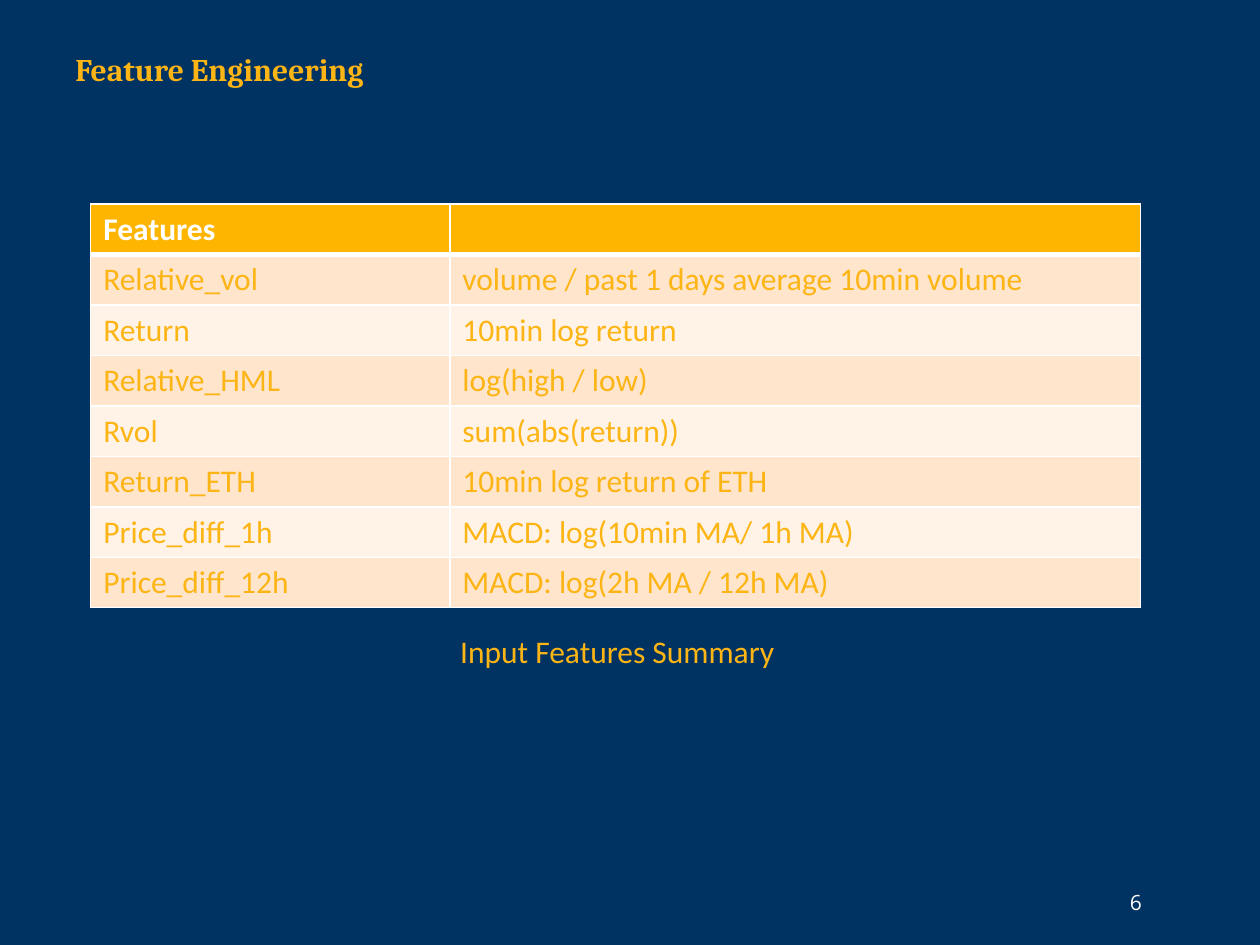
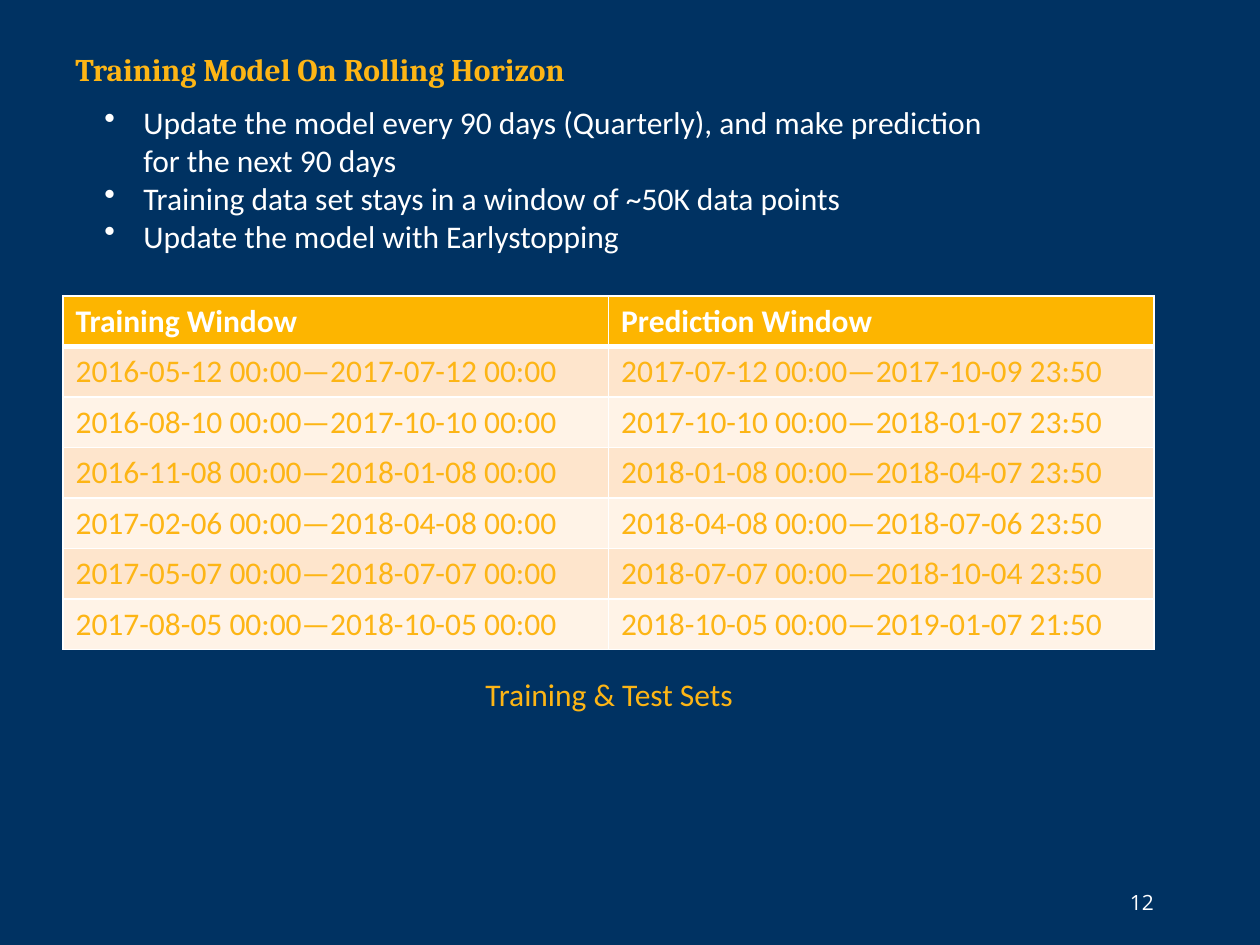
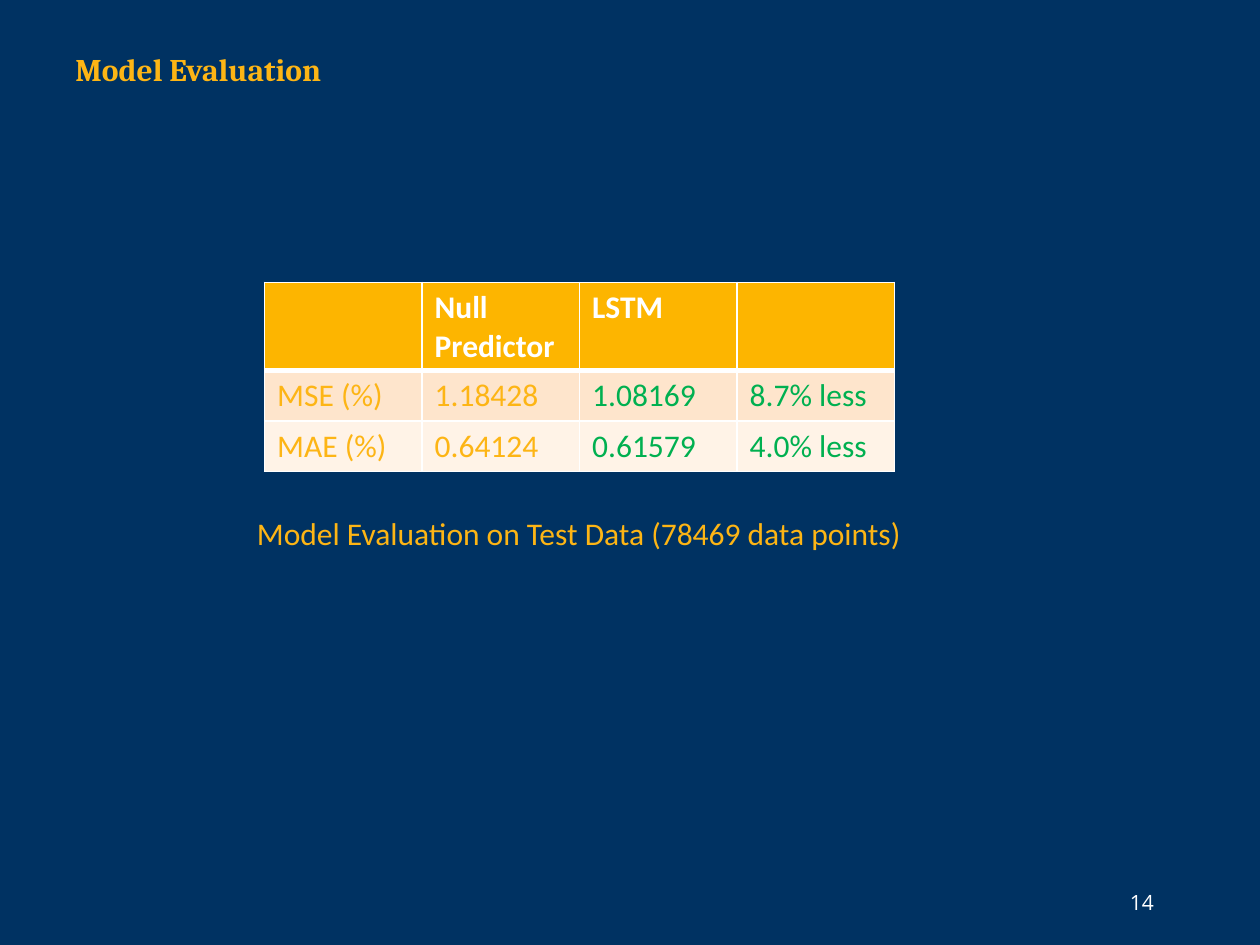
from dataclasses import dataclass

from lxml import etree
from pptx import Presentation, util as u
from pptx.dml.color import RGBColor
from pptx.enum import text
from pptx.oxml.ns import qn


@dataclass(frozen=True)
class Theme:
    background: str = "003262"
    gold: str = "FDB515"
    white: str = "FFFFFF"
    green: str = "00B050"
    header: str = "FDB500"
    bands: tuple = ("FEE5CC", "FFF3E7")
    title_font: str = "Cambria"
    body_font: str = "Calibri"
    number_font: str = "Open Sans"
    body_size: int = 18
    number_size: int = 12


theme = Theme()


def add_text(slide, box, lines, color, font=theme.body_font, size=theme.body_size, bold=False):
    """Add a text box with one paragraph a line and return its text frame."""
    frame = slide.shapes.add_textbox(*map(u.Inches, box)).text_frame
    frame.word_wrap = True
    frame.text = "\n".join(lines)
    for paragraph in frame.paragraphs:
        paragraph.font.name = font
        paragraph.font.size = u.Pt(size)
        paragraph.font.bold = bold
        paragraph.font.color.rgb = RGBColor.from_string(color)
    return frame


def set_borders(cell, **widths):
    """Draw white borders; widths are in points, keyed by side: L, R, T, B."""
    properties = cell._tc.get_or_add_tcPr()
    for position, (side, width) in enumerate(widths.items()):
        line = etree.Element(qn(f"a:ln{side}"), w=str(u.Pt(width)))
        fill = etree.SubElement(line, qn("a:solidFill"))
        etree.SubElement(fill, qn("a:srgbClr"), val=theme.white)
        properties.insert(position, line)


pages = [
    {
        "number": 6,
        "title": "Feature Engineering",
        "bullets": [],
        "table_at": (0.72, 1.62),
        "columns": [2.85, 5.48],
        "header_height": 0.4,
        "rows": [
            ("Features", ""),
            ("Relative_vol", "volume / past 1 days average 10min volume"),
            ("Return", "10min log return"),
            ("Relative_HML", "log(high / low)"),
            ("Rvol", "sum(abs(return))"),
            ("Return_ETH", "10min log return of ETH"),
            ("Price_diff_1h", "MACD: log(10min MA/ 1h MA)"),
            ("Price_diff_12h", "MACD: log(2h MA / 12h MA)"),
        ],
        "green_columns": (),
        "caption": "Input Features Summary",
        "caption_box": (3.54, 4.97, 2.72, 0.71),
    },
    {
        "number": 12,
        "title": "Training Model On Rolling Horizon",
        "bullets": [
            "Update the model every 90 days (Quarterly), and make prediction for the next 90 days",
            "Training data set stays in a window of ~50K data points",
            "Update the model with Earlystopping",
        ],
        "table_at": (0.5, 2.35),
        "columns": [4.33, 4.33],
        "header_height": 0.4,
        "rows": [
            ("Training Window", "Prediction Window"),
            ("2016-05-12 00:00—2017-07-12 00:00", "2017-07-12 00:00—2017-10-09 23:50"),
            ("2016-08-10 00:00—2017-10-10 00:00", "2017-10-10 00:00—2018-01-07 23:50"),
            ("2016-11-08 00:00—2018-01-08 00:00", "2018-01-08 00:00—2018-04-07 23:50"),
            ("2017-02-06 00:00—2018-04-08 00:00", "2018-04-08 00:00—2018-07-06 23:50"),
            ("2017-05-07 00:00—2018-07-07 00:00", "2018-07-07 00:00—2018-10-04 23:50"),
            ("2017-08-05 00:00—2018-10-05 00:00", "2018-10-05 00:00—2019-01-07 21:50"),
        ],
        "green_columns": (),
        "caption": "Training & Test Sets",
        "caption_box": (3.74, 5.31, 2.19, 0.71),
    },
    {
        "number": 14,
        "title": "Model Evaluation",
        "bullets": [],
        "table_at": (2.1, 2.24),
        "columns": [1.25] * 4,
        "header_height": 0.7,
        "rows": [
            ("", "Null Predictor", "LSTM", ""),
            ("MSE (%)", "1.18428", "1.08169", "8.7% less"),
            ("MAE (%)", "0.64124", "0.61579", "4.0% less"),
        ],
        "green_columns": (2, 3),
        "caption": "Model Evaluation on Test Data (78469 data points)",
        "caption_box": (1.91, 4.03, 5.37, 0.71),
    },
]

presentation = Presentation()
presentation.slide_width = u.Inches(10)
presentation.slide_height = u.Inches(7.5)
background = presentation.slide_master.background.fill
background.solid()
background.fore_color.rgb = RGBColor.from_string(theme.background)
blank_layout = presentation.slide_layouts[6]
row_height = 0.4

for page in pages:
    slide = presentation.slides.add_slide(blank_layout)
    add_text(slide, (8.87, 7.01, 1.13, 0.3), [str(page["number"])], theme.white,
             theme.number_font, theme.number_size)
    add_text(slide, (0.5, 0.35, 5.01, 0.53), [page["title"]], theme.gold,
             theme.title_font, bold=True)

    if page["bullets"]:
        bullet_frame = add_text(slide, (0.73, 0.77, 7.37, 1.31), page["bullets"], theme.white)
        for paragraph in bullet_frame.paragraphs:
            properties = paragraph._p.get_or_add_pPr()
            properties.set("marL", str(u.Inches(0.31)))
            properties.set("indent", str(-u.Inches(0.31)))
            bullet = etree.Element(qn("a:buChar"), char="•")
            properties.find(qn("a:defRPr")).addprevious(bullet)

    rows, columns = page["rows"], page["columns"]
    left, top = page["table_at"]
    height = page["header_height"] + row_height * (len(rows) - 1)
    table = slide.shapes.add_table(
        len(rows), len(columns), u.Inches(left), u.Inches(top),
        u.Inches(sum(columns)), u.Inches(height)).table
    table.horz_banding = False
    for column, width in zip(table.columns, columns):
        column.width = u.Inches(width)
    for row_index, values in enumerate(rows):
        is_header = row_index == 0
        table.rows[row_index].height = u.Inches(page["header_height"] if is_header else row_height)
        for column_index, value in enumerate(values):
            cell = table.cell(row_index, column_index)
            cell.text = value
            cell.fill.solid()
            cell.fill.fore_color.rgb = RGBColor.from_string(
                theme.header if is_header else theme.bands[(row_index - 1) % 2])
            set_borders(cell, L=1, R=1, T=3 if row_index == 1 else 1, B=3 if is_header else 1)
            if is_header:
                color = theme.white
            else:
                color = theme.green if column_index in page["green_columns"] else theme.gold
            font = cell.text_frame.paragraphs[0].font
            font.name = theme.body_font
            font.size = u.Pt(theme.body_size)
            font.bold = is_header
            font.color.rgb = RGBColor.from_string(color)

    caption_frame = add_text(slide, page["caption_box"], [page["caption"]], theme.gold)
    caption_frame.word_wrap = False
    caption_frame.paragraphs[0].alignment = text.PP_ALIGN.CENTER

presentation.save("out.pptx")
